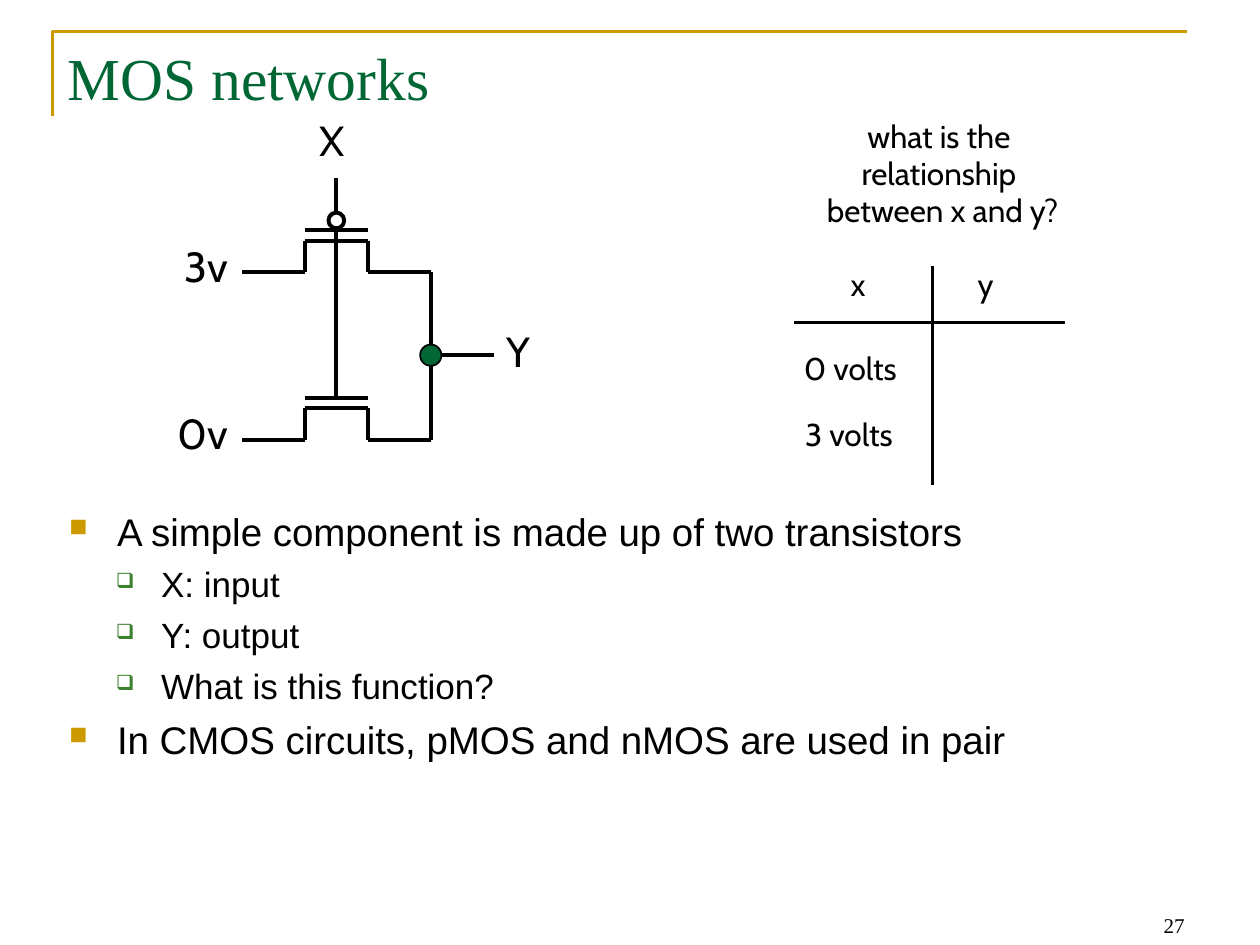
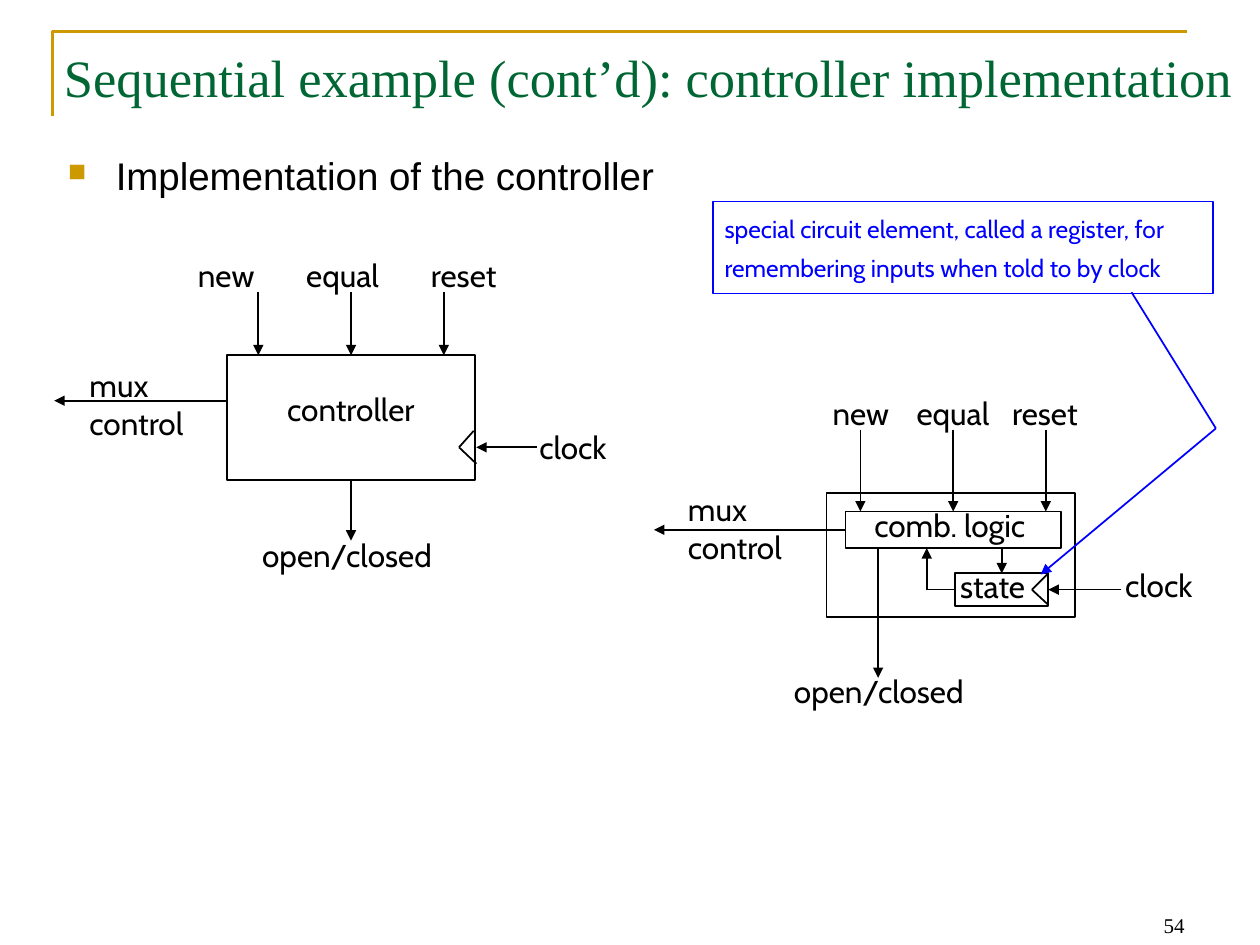
"""Build two slides on MOS networks and a sequential controller."""
from lxml import etree
from pptx import Presentation
from pptx.dml.color import RGBColor
from pptx.enum.shapes import MSO_CONNECTOR, MSO_SHAPE
from pptx.enum.text import MSO_ANCHOR, PP_ALIGN
from pptx.oxml.ns import qn
from pptx.util import Pt

LEFT, CENTER, RIGHT = PP_ALIGN.LEFT, PP_ALIGN.CENTER, PP_ALIGN.RIGHT
TOP, BOTTOM = MSO_ANCHOR.TOP, MSO_ANCHOR.BOTTOM
STRAIGHT = MSO_CONNECTOR.STRAIGHT
RECTANGLE, OVAL = MSO_SHAPE.RECTANGLE, MSO_SHAPE.OVAL
SIDE_TOP, SIDE_LEFT, SIDE_BOTTOM, SIDE_RIGHT = range(4)

BLACK, WHITE, GREEN, GOLD, BLUE = "000000", "FFFFFF", "006633", "CC9900", "0000FF"
SERIF, SANS, HAND = "Times New Roman", "Arial", "Cabin"
FRAME = [(30.2, 66.2), (30.2, 18), (678.2, 18)]
LEVELS = [
    dict(size=22, before=5.5, indent=27.4, hang=27.4, mark="■", tint=GOLD, percent=65),
    dict(size=20, before=5, indent=52.6, hang=25.9, mark="❑", tint="3B812F", percent=60),
]

MOS_BULLETS = [
    (0, "A simple component is made up of two transistors"),
    (1, "X: input"),
    (1, "Y: output"),
    (1, "What is this function?"),
    (0, "In CMOS circuits, pMOS and nMOS are used in pair"),
]
MOS_LABELS = [
    ("3v", (91.8, 143.3, 40, 32.4), 24, RIGHT),
    ("0v", (91.8, 238.3, 40, 32.4), 24, RIGHT),
    ("X", (181.4, 71.3, 28.8, 32.4), 24, LEFT),
    ("Y", (288, 191.5, 28.8, 32.4), 24, LEFT),
    ("x", (484.6, 149.8, 28.8, 32.4), 18, LEFT),
    ("y", (557.3, 149.8, 28.8, 32.4), 18, LEFT),
    ("0 volts", (457.9, 198, 69.8, 32.4), 18, LEFT),
    ("3 volts", (458.6, 235.4, 69.8, 32.4), 18, LEFT),
    ("what is the \vrelationship \vbetween x and y?", (455.8, 65.5, 165.6, 74.2), 18, CENTER),
]
TRUTH_LINES = [[(453.6, 184.3), (608.4, 184.3)], [(532.8, 151.9), (532.8, 277.2)]]
DRAIN_X, PMOS_Y, NMOS_Y, OUTPUT_Y = 246.2, 155.5, 251.3, 203
SOURCE_X, STEP = 174.2, 18
GATE_X = SOURCE_X + STEP

INPUTS = ["new", "equal", "reset"]
INPUT_GAP, INPUT_LIFT, LABEL_LIFT = 53, 36, 59
BLOCK_SIZE = (142, 71.3)
SIMPLE = dict(
    corner=(129.6, 203), first_input=147.6,
    input_lefts=[111.6, 173.5, 244.8], input_align=LEFT,
    mux=(49.7, 206.6, 80, 53.3), clock=(306.7, 241.9, 66.2, 31.7),
    output=(138.2, 303.8, 120.2, 31.7),
    wedge=[(272.2, 265), (262.3, 255.6), (270.7, 246.2)],
)
DETAILED = dict(
    corner=(472.3, 281.5), first_input=491.65,
    input_lefts=[458.6, 511.2, 563.8], input_align=CENTER,
    mux=(391.7, 277.2, 80, 53.3), clock=(641.5, 321.1, 60, 31.7),
    output=(442.1, 381.6, 120.2, 31.7),
    wedge=[(599, 345.6), (589.7, 337), (599, 327.6)],
)
BLOCK_NAMES = [
    ("controller", (150.5, 225.4, 100, 26.6), CENTER),
    ("comb. logic", (498.2, 291.6, 123.1, 26.6), LEFT),
    ("state", (547.2, 326.2, 72, 26.6), LEFT),
]
NOTE = "special circuit element, called a register, for \vremembering inputs when told to by clock"


def rgb(code):
    return RGBColor.from_string(code)


def points(values):
    return [Pt(value) for value in values]


def write(para, text, size=18, font=HAND, color=BLACK, align=LEFT, leading=None, before=0):
    para.text = text
    para.alignment = align
    para.space_before = Pt(before)
    if leading:
        para.line_spacing = Pt(leading)
    for span in para.runs:
        span.font.size = Pt(size)
        span.font.name = font
        span.font.color.rgb = rgb(color)


def add_frame(page, place, inset=(7.2, 3.6), wrap=True, anchor=TOP):
    frame = page.shapes.add_textbox(*points(place)).text_frame
    frame.word_wrap = wrap
    frame.vertical_anchor = anchor
    frame.margin_left = frame.margin_right = Pt(inset[0])
    frame.margin_top = frame.margin_bottom = Pt(inset[1])
    return frame


def add_label(page, text, place, **style):
    frame = add_frame(page, place, inset=(1.44, 2.16), wrap=False)
    write(frame.paragraphs[0], text, **style)


def add_bullets(page, place, items):
    frame = add_frame(page, place)
    for index, (level, text) in enumerate(items):
        para = frame.add_paragraph() if index else frame.paragraphs[0]
        look = LEVELS[level]
        write(para, text, size=look["size"], font=SANS, before=look["before"])
        para.level = level
        props = para._p.get_or_add_pPr()
        props.set("marL", str(Pt(look["indent"])))
        props.set("indent", str(-Pt(look["hang"])))
        tint = etree.SubElement(props, qn("a:buClr"))
        etree.SubElement(tint, qn("a:srgbClr"), val=look["tint"])
        etree.SubElement(props, qn("a:buSzPct"), val=str(look["percent"] * 1000))
        etree.SubElement(props, qn("a:buChar"), char=look["mark"])


def add_box(page, kind, place, fill=None, color=BLACK, width=1):
    box = page.shapes.add_shape(kind, *points(place))
    box.shadow.inherit = False
    if fill:
        box.fill.solid()
        box.fill.fore_color.rgb = rgb(fill)
    else:
        box.fill.background()
    box.line.color.rgb = rgb(color)
    box.line.width = Pt(width)
    return box


def add_line(page, start, end, color=BLACK, width=1, arrow=False, source=None, target=None):
    line = page.shapes.add_connector(STRAIGHT, *points(start + end))
    if source:
        line.begin_connect(*source)
    if target:
        line.end_connect(*target)
    line.line.color.rgb = rgb(color)
    line.line.width = Pt(width)
    props = line._element.spPr
    if arrow:
        etree.SubElement(props.find(qn("a:ln")), qn("a:tailEnd"), type="triangle")
    etree.SubElement(props, qn("a:effectLst"))


def add_path(page, stops, **style):
    for start, end in zip(stops, stops[1:]):
        add_line(page, start, end, **style)


def add_page(deck, title, corner, size, number):
    page = deck.slides.add_slide(deck.slide_layouts[6])
    builder = page.shapes.build_freeform(*points(FRAME[0]))
    builder.add_line_segments([points(stop) for stop in FRAME[1:]], close=False)
    border = builder.convert_to_shape()
    border.shadow.inherit = False
    border.fill.background()
    border.line.color.rgb = rgb(GOLD)
    border.line.width = Pt(1.5)
    heading = add_frame(page, (*corner, 684, 90))
    write(heading.paragraphs[0], title, size=size, font=SERIF, color=GREEN)
    footer = add_frame(page, (516.2, 503.3, 167.8, 36), anchor=BOTTOM)
    write(footer.paragraphs[0], number, size=12, font=SERIF, align=RIGHT)
    return page


def add_transistor(page, base, gate_top):
    channel, plate = base - STEP, base - 24
    left, right = SOURCE_X, SOURCE_X + 2 * STEP
    add_path(page, [(left - 2 * STEP, base), (left, base), (left, channel),
                    (right, channel), (right, base), (DRAIN_X, base)], width=2.25)
    add_line(page, (left, plate), (right, plate), width=2.25)
    add_line(page, (GATE_X, gate_top), (GATE_X, plate), width=2.25)


def build_networks(deck):
    page = add_page(deck, "MOS networks", (31.7, 19.8), 34, "27")
    add_transistor(page, PMOS_Y, 101.5)
    add_transistor(page, NMOS_Y, PMOS_Y - 24)
    add_line(page, (DRAIN_X, PMOS_Y), (DRAIN_X, NMOS_Y), width=2.25)
    add_line(page, (DRAIN_X, OUTPUT_Y), (DRAIN_X + 36, OUTPUT_Y), width=2.25)
    add_box(page, OVAL, (GATE_X - 4.5, 121.5, 9, 9), fill=WHITE, width=2.25)
    add_box(page, OVAL, (DRAIN_X - 6.1, OUTPUT_Y - 6.1, 12.2, 12.2), fill=GREEN)
    for stops in TRUTH_LINES:
        add_path(page, stops, width=2)
    for text, place, size, align in MOS_LABELS:
        add_label(page, text, place, size=size, align=align, leading=21)
    add_bullets(page, (32.4, 286.6, 659.5, 180.7), MOS_BULLETS)


def add_controller(page, block, receiver, receiver_top):
    top = block["corner"][1]
    for index, name in enumerate(INPUTS):
        x = block["first_input"] + index * INPUT_GAP
        target = (receiver, SIDE_TOP) if name == "equal" else None
        add_line(page, (x, top - INPUT_LIFT), (x, receiver_top), arrow=True, target=target)
        add_label(page, name, (block["input_lefts"][index], top - LABEL_LIFT, 66.6, 31.7),
                  align=block["input_align"], leading=22)
    add_label(page, "mux \vcontrol", block["mux"], leading=22)
    add_label(page, "clock", block["clock"], leading=22)
    add_label(page, "open/closed", block["output"], align=CENTER, leading=22)
    add_path(page, block["wedge"])


def build_controller(deck):
    page = add_page(deck, "Sequential example (cont’d): controller implementation",
                    (29.5, 21.9), 30, "54")
    add_bullets(page, (31.7, 83.5, 648, 356.4), [(0, "Implementation of the controller")])

    controller = add_box(page, RECTANGLE, (*SIMPLE["corner"], *BLOCK_SIZE))
    add_controller(page, SIMPLE, controller, 203)
    add_line(page, (129.6, 229), (31, 229), arrow=True)
    add_line(page, (306.7, 255.6), (272.2, 255.6), arrow=True)
    add_line(page, (200.6, 274.3), (200.6, 308.9), arrow=True, source=(controller, SIDE_BOTTOM))

    add_box(page, RECTANGLE, (*DETAILED["corner"], *BLOCK_SIZE))
    logic = add_box(page, RECTANGLE, (483.1, 292.3, 123.1, 20.9))
    state = add_box(page, RECTANGLE, (545.8, 327.6, 53.3, 18.7))
    add_controller(page, DETAILED, logic, 292.3)
    add_line(page, (483.1, 302.75), (373.7, 302.75), arrow=True, source=(logic, SIDE_LEFT))
    add_line(page, (640.8, 336.95), (599.1, 336.95), arrow=True, target=(state, SIDE_RIGHT))
    add_line(page, (501.8, 313.2), (501.8, 387.4), arrow=True)
    add_line(page, (572.45, 313.9), (572.45, 327.6), arrow=True, target=(state, SIDE_TOP))
    add_line(page, (545.8, 336.95), (529.6, 336.95), source=(state, SIDE_LEFT))
    add_line(page, (529.6, 336.95), (529.6, 313.2), arrow=True)
    for text, place, align in BLOCK_NAMES:
        add_label(page, text, place, align=align, leading=17)

    add_box(page, RECTANGLE, (407.5, 115.2, 285.8, 52.6), color=BLUE)
    add_label(page, NOTE, (412.6, 115.2, 276.5, 51.8), size=14, color=BLUE, leading=22)
    add_line(page, (694.8, 244.8), (646.6, 167), color=BLUE)
    add_line(page, (694.8, 244.8), (594.7, 328.3), color=BLUE, arrow=True)


def main():
    deck = Presentation()
    deck.slide_width, deck.slide_height = Pt(720), Pt(540)
    build_networks(deck)
    build_controller(deck)
    deck.save("out.pptx")


if __name__ == "__main__":
    main()
